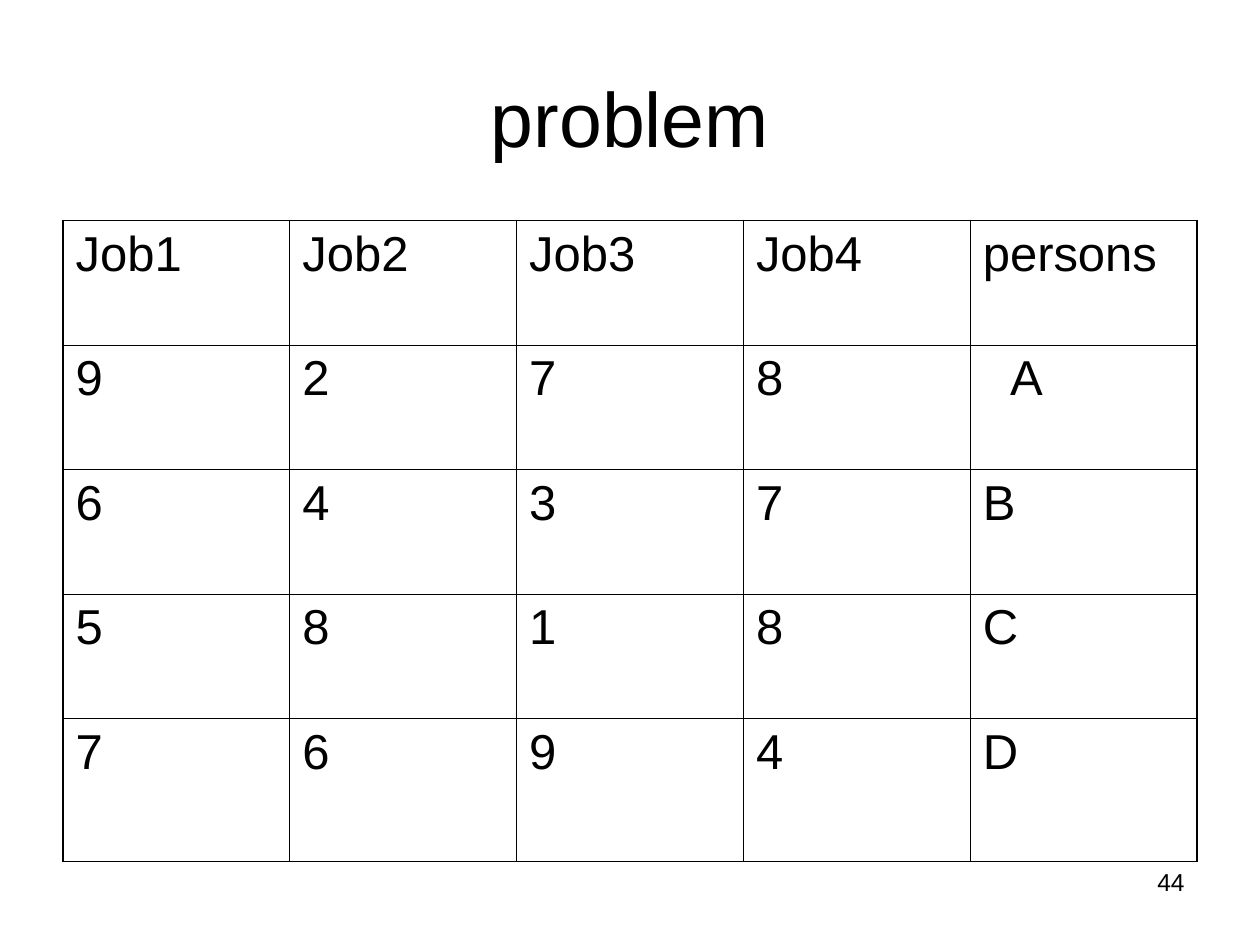
"""Build a slide showing the costs of assigning four jobs to four persons."""
from dataclasses import dataclass

import pptx
import pptx.dml.color
import pptx.enum.text
import pptx.oxml.ns
import pptx.util
from lxml import etree

Pt = pptx.util.Pt
Align = pptx.enum.text.PP_ALIGN
Anchor = pptx.enum.text.MSO_ANCHOR


@dataclass(frozen=True)
class Theme:
    font: str = "Arial"
    ink: str = "000000"
    title_size: float = 44
    table_size: float = 28
    number_size: float = 14
    outer_line: float = 1.08
    inner_line: float = 0.45
    inset_x: float = 7.2
    inset_y: float = 3.6


THEME = Theme()
TITLE_ONLY = 5
COLUMN_WIDTH = 129.6
ROW_HEIGHTS = [71.2] * 4 + [81.6]
INDENT = 15.6
COSTS = [
    ["Job1", "Job2", "Job3", "Job4", "persons"],
    ["9", "2", "7", "8", "A"],
    ["6", "4", "3", "7", "B"],
    ["5", "8", "1", "8", "C"],
    ["7", "6", "9", "4", "D"],
]


def write_text(text_frame, text, *, size, align=Align.LEFT):
    paragraph = text_frame.paragraphs[0]
    paragraph.alignment = align
    paragraph.space_before = Pt(0)
    run = paragraph.add_run()
    run.text = text
    run.font.name = THEME.font
    run.font.size = Pt(size)
    run.font.color.rgb = pptx.dml.color.RGBColor.from_string(THEME.ink)


def set_insets(box):
    box.margin_left = box.margin_right = Pt(THEME.inset_x)
    box.margin_top = box.margin_bottom = Pt(THEME.inset_y)


def add_border(cell, side, width):
    qn = pptx.oxml.ns.qn
    properties = cell._tc.get_or_add_tcPr()
    line = etree.SubElement(properties, qn(f"a:ln{side}"), w=str(Pt(width)))
    fill = etree.SubElement(line, qn("a:solidFill"))
    etree.SubElement(fill, qn("a:srgbClr"), val=THEME.ink)


def add_title(slide, text):
    title = slide.shapes.title
    title.left, title.top, title.width, title.height = Pt(36), Pt(21.6), Pt(648), Pt(90)
    title.text_frame.vertical_anchor = Anchor.MIDDLE
    write_text(title.text_frame, text, size=THEME.title_size, align=Align.CENTER)


def add_cost_table(slide, rows):
    row_count, column_count = len(rows), len(rows[0])
    table = slide.shapes.add_table(
        row_count, column_count, Pt(36), Pt(126),
        Pt(COLUMN_WIDTH * column_count), Pt(sum(ROW_HEIGHTS)),
    ).table
    table.first_row = table.horz_banding = False
    for column in table.columns:
        column.width = Pt(COLUMN_WIDTH)
    for row_index, values in enumerate(rows):
        table.rows[row_index].height = Pt(ROW_HEIGHTS[row_index])
        for column_index, value in enumerate(values):
            cell = table.cell(row_index, column_index)
            set_insets(cell)
            write_text(cell.text_frame, value, size=THEME.table_size)
            is_outer = {
                "L": column_index == 0,
                "R": column_index == column_count - 1,
                "T": row_index == 0,
                "B": row_index == row_count - 1,
            }
            for side, outer in is_outer.items():
                add_border(cell, side, THEME.outer_line if outer else THEME.inner_line)
            cell.fill.background()
    table.cell(1, column_count - 1).margin_left = Pt(THEME.inset_x + INDENT)


def add_page_number(slide, text):
    box = slide.shapes.add_textbox(Pt(516), Pt(492), Pt(168), Pt(37.5))
    box.text_frame.word_wrap = True
    set_insets(box.text_frame)
    write_text(box.text_frame, text, size=THEME.number_size, align=Align.RIGHT)


def main():
    presentation = pptx.Presentation()
    presentation.slide_width, presentation.slide_height = Pt(720), Pt(540)
    slide = presentation.slides.add_slide(presentation.slide_layouts[TITLE_ONLY])
    add_page_number(slide, "44")
    add_title(slide, "problem")
    add_cost_table(slide, COSTS)
    presentation.save("out.pptx")


if __name__ == "__main__":
    main()
